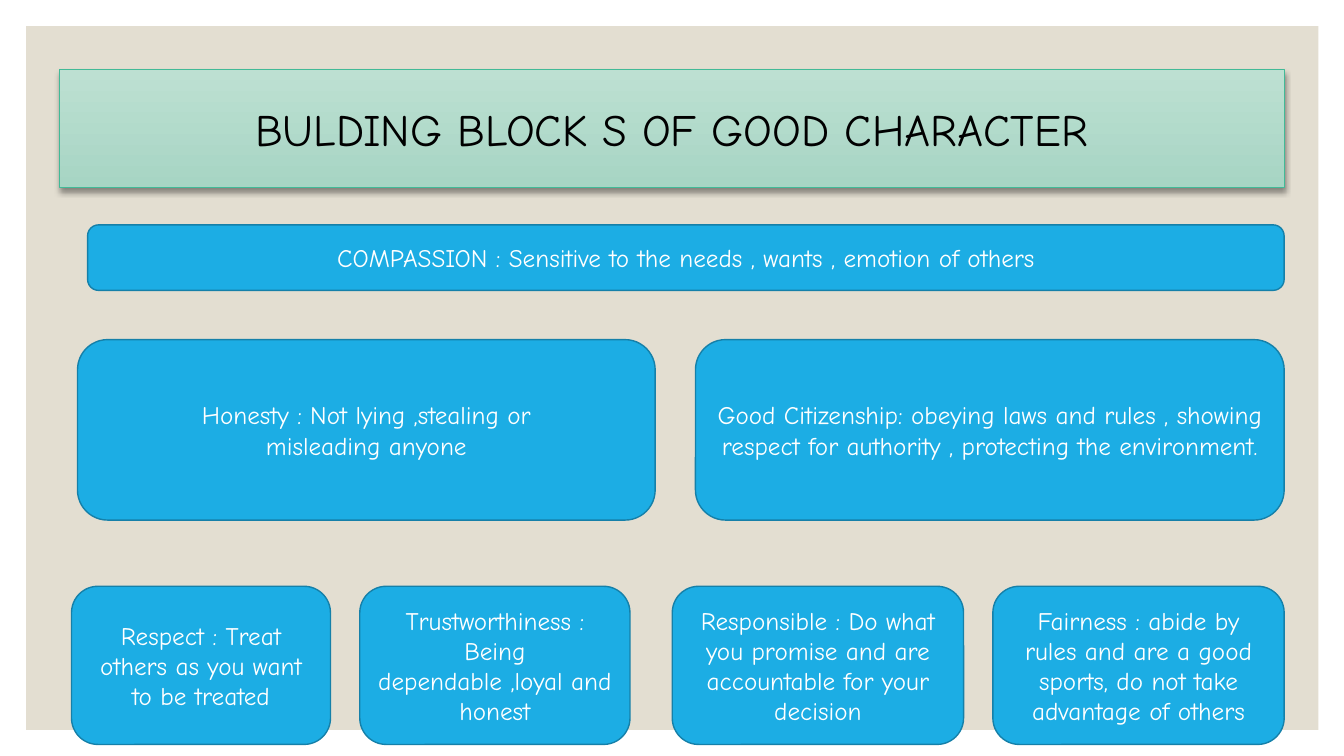
from dataclasses import dataclass

from lxml import etree
from pptx import Presentation
from pptx.dml.color import RGBColor
from pptx.enum.shapes import MSO_SHAPE
from pptx.enum.text import MSO_ANCHOR, MSO_AUTO_SIZE, PP_ALIGN
from pptx.oxml import parse_xml
from pptx.oxml.ns import nsdecls
from pptx.util import Pt

RECTANGLE = MSO_SHAPE.RECTANGLE
ROUNDED = MSO_SHAPE.ROUNDED_RECTANGLE
MIDDLE = MSO_ANCHOR.MIDDLE
CENTER = PP_ALIGN.CENTER
NO_AUTOFIT = MSO_AUTO_SIZE.NONE
TITLE_ONLY = 5


@dataclass(frozen=True)
class Theme:
    """Colours, font and type sizes of the slide."""
    panel: str = "E3DED1"
    block: str = "1CADE4"
    block_line: str = "1580A9"
    banner: tuple = ("BDE0D2", "A7D5C4")
    banner_line: str = "42BA97"
    dark: str = "000000"
    light: str = "FFFFFF"
    font: str = "Comic Neue"
    title_size: float = 32
    body_size: float = 18


THEME = Theme()

TITLE = "BULDING BLOCK S OF GOOD CHARACTER"
# Each row: top, height, blocks as (left, width, paragraphs)
ROWS = [
    (160.6, 46.8, [
        (62.6, 854.7, ["COMPASSION : Sensitive to the needs , wants , emotion of others"]),
    ]),
    (242.6, 128.9, [
        (55.4, 412.6, ["Honesty : Not lying ,stealing or", "misleading anyone"]),
        (496.8, 420.5, ["Good Citizenship: obeying laws and rules , showing respect "
                        "for authority , protecting the environment."]),
    ]),
    (418.8, 113, [
        (51.1, 185, ["Respect : Treat others as you want to be treated"]),
        (257, 193, ["Trustworthiness : Being dependable ,loyal and honest"]),
        (480.2, 208.1, ["Responsible : Do what you promise and are accountable "
                        "for your decision"]),
        (709.2, 208.1, ["Fairness : abide by rules and are a good sports, "
                        "do not take advantage of others"]),
    ]),
]
PANEL_BOX = (18.7, 18.7, 923, 502.6)
TITLE_BOX = (42.5, 49.7, 874.8, 84.2)


def color(value):
    """Turn a hex string into a colour."""
    return RGBColor.from_string(value)


def write_text(shape, paragraphs, size, text_color):
    """Write centred paragraphs into a shape."""
    frame = shape.text_frame
    frame.word_wrap = True
    frame.auto_size = NO_AUTOFIT
    frame.vertical_anchor = MIDDLE
    frame.text = "\n".join(paragraphs)
    for paragraph in frame.paragraphs:
        paragraph.alignment = CENTER
        font = paragraph.runs[0].font
        font.name = THEME.font
        font.size = Pt(size)
        font.color.rgb = color(text_color)


def set_line(shape, line_color, width):
    """Outline a shape."""
    shape.line.color.rgb = color(line_color)
    shape.line.width = Pt(width)


def add_box(slide, kind, box, fill):
    """Add a flat filled shape without an outline."""
    shape = slide.shapes.add_shape(kind, *map(Pt, box))
    shape.shadow.inherit = False
    shape.fill.solid()
    shape.fill.fore_color.rgb = color(fill)
    shape.line.fill.background()
    return shape


def format_title(title):
    """Turn the title placeholder into a rounded gradient banner with a shadow."""
    title.left, title.top, title.width, title.height = map(Pt, TITLE_BOX)
    properties = title.element.spPr
    properties.append(parse_xml(
        f'<a:prstGeom {nsdecls("a")} prst="roundRect"><a:avLst/></a:prstGeom>'))
    title.fill.gradient()
    title.fill.gradient_angle = 270
    for stop, value in zip(title.fill.gradient_stops, THEME.banner):
        stop.color.rgb = color(value)
    set_line(title, THEME.banner_line, 0.5)
    title.shadow.inherit = False
    effects = properties.find("a:effectLst", {"a": properties.nsmap["a"]})
    effects.append(parse_xml(
        f'<a:outerShdw {nsdecls("a")} blurRad="{Pt(4)}" dist="{Pt(3)}" dir="5400000" '
        'rotWithShape="0"><a:srgbClr val="000000"><a:alpha val="40000"/></a:srgbClr>'
        '</a:outerShdw>'))
    etree.cleanup_namespaces(properties)
    write_text(title, [TITLE], THEME.title_size, THEME.dark)


def build():
    """Build and save the slide."""
    presentation = Presentation()
    presentation.slide_width, presentation.slide_height = Pt(960), Pt(540)
    slide = presentation.slides.add_slide(presentation.slide_layouts[TITLE_ONLY])
    title = slide.shapes.title
    panel = add_box(slide, RECTANGLE, PANEL_BOX, THEME.panel)
    title.element.addprevious(panel.element)
    format_title(title)
    for top, height, blocks in ROWS:
        for left, width, paragraphs in blocks:
            block = add_box(slide, ROUNDED, (left, top, width, height), THEME.block)
            set_line(block, THEME.block_line, 1)
            write_text(block, paragraphs, THEME.body_size, THEME.light)
    presentation.save("out.pptx")


build()
